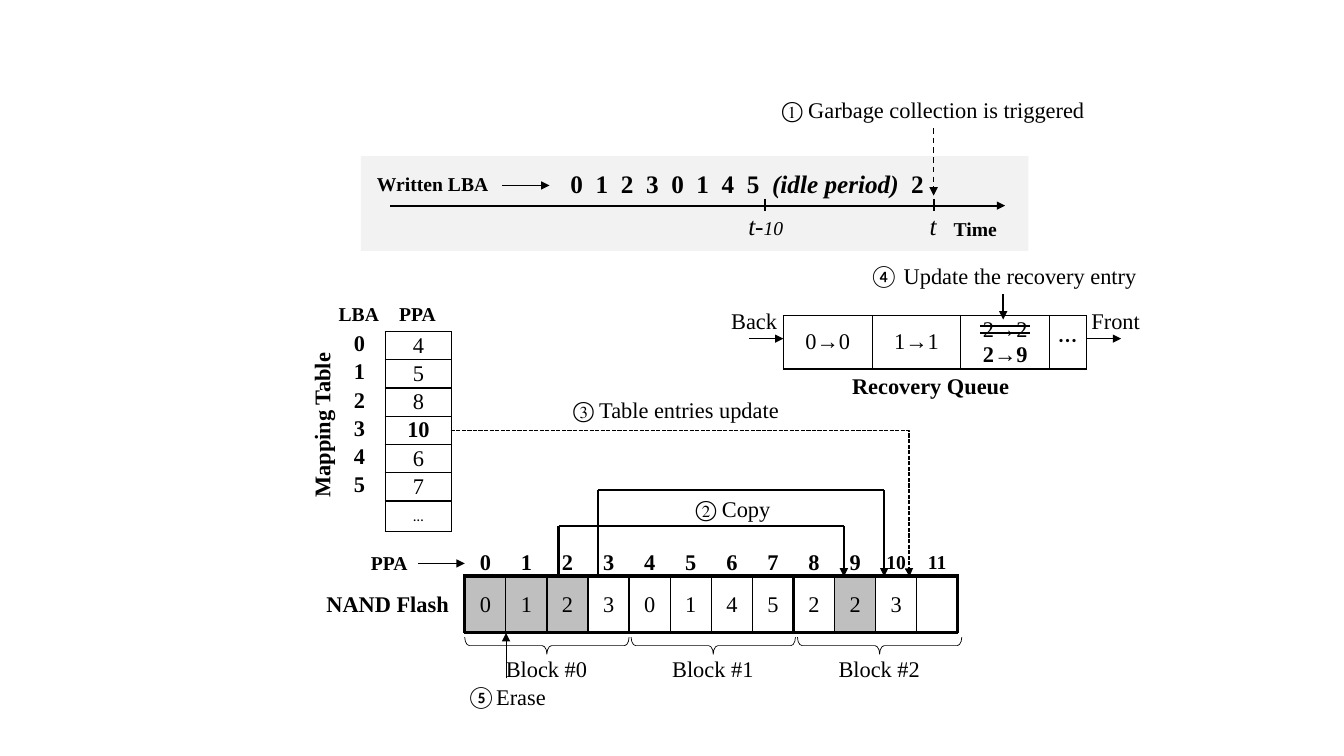
from dataclasses import dataclass

import lxml.etree
import pptx
import pptx.dml.color
import pptx.enum.dml
import pptx.enum.shapes
import pptx.enum.text
import pptx.oxml.ns
import pptx.util

Inches = pptx.util.Inches
qn = pptx.oxml.ns.qn
DASH = pptx.enum.dml.MSO_LINE
ALIGN = pptx.enum.text.PP_ALIGN
SHAPE = pptx.enum.shapes.MSO_SHAPE
CONNECTOR = pptx.enum.shapes.MSO_CONNECTOR


@dataclass(frozen=True)
class Theme:
    ink: str = "000000"
    panel: str = "F2F2F2"
    used: str = "BFBFBF"
    serif: str = "Times New Roman"
    sans: str = "Calibri"
    large: float = 18
    body: float = 16
    small: float = 14
    tiny: float = 10.5
    hair: float = 0.5
    thin: float = 1
    medium: float = 1.5
    heavy: float = 2.25
    plain_table: str = "{2D5ABB26-0587-4C30-8999-92F81FD0307C}"


THEME = Theme()


@dataclass(frozen=True)
class Span:
    text: str
    size: float = THEME.body
    bold: bool = False
    italic: bool = False
    font: str = THEME.serif


@dataclass(frozen=True)
class Label:
    box: tuple[float, float, float, float]
    spans: tuple[Span, ...]
    centred: bool = True
    turn: float = 0
    tabs: tuple[float, ...] = ()


@dataclass(frozen=True)
class Line:
    start: tuple[float, float]
    end: tuple[float, float]
    width: float = THEME.medium
    arrow: bool = False
    dash: DASH | None = None
    bend: float | None = None


@dataclass(frozen=True)
class Cell:
    paras: tuple[Span, ...] = ()
    fill: str | None = None
    sides: str = "LRTB"
    indent: float | None = None


def colour(code: str) -> pptx.dml.color.RGBColor:
    return pptx.dml.color.RGBColor.from_string(code)


def set_font(font, span: Span) -> None:
    font.name, font.size = span.font, pptx.util.Pt(span.size)
    font.bold, font.italic = span.bold, span.italic
    font.color.rgb = colour(THEME.ink)


def fill_para(para, spans: tuple[Span, ...], centred: bool) -> None:
    para.alignment = ALIGN.CENTER if centred else ALIGN.LEFT
    for span in spans:
        run = para.add_run()
        run.text = span.text
        if len(spans) > 1:
            set_font(run.font, span)
    if len(spans) == 1:
        set_font(para.font, spans[0])


def draw_label(page, label: Label) -> None:
    box = page.shapes.add_textbox(*map(Inches, label.box))
    box.rotation = label.turn
    frame = box.text_frame
    frame.word_wrap = bool(label.tabs)
    frame.auto_size = pptx.enum.text.MSO_AUTO_SIZE.SHAPE_TO_FIT_TEXT
    para = frame.paragraphs[0]
    fill_para(para, label.spans, label.centred)
    if label.tabs:
        stops = lxml.etree.Element(qn("a:tabLst"))
        for place in label.tabs:
            lxml.etree.SubElement(stops, qn("a:tab"), pos=str(int(Inches(place))), algn="l")
        para._p.get_or_add_pPr().insert(0, stops)


def draw_line(page, line: Line) -> None:
    kind = CONNECTOR.STRAIGHT if line.bend is None else CONNECTOR.ELBOW
    link = page.shapes.add_connector(kind, *map(Inches, line.start + line.end))
    link.line.color.rgb = colour(THEME.ink)
    link.line.width = pptx.util.Pt(line.width)
    if line.dash is not None:
        link.line.dash_style = line.dash
    properties = link._element.spPr
    if line.arrow:
        lxml.etree.SubElement(properties.find(qn("a:ln")), qn("a:tailEnd"), type="triangle")
    if line.bend is not None:
        guides = properties.find(qn("a:prstGeom")).find(qn("a:avLst"))
        value = f"val {round(line.bend * 100000)}"
        lxml.etree.SubElement(guides, qn("a:gd"), name="adj1", fmla=value)
    lxml.etree.SubElement(properties, qn("a:effectLst"))


def draw_cell(target, cell: Cell, border: float, tight: bool) -> None:
    target.vertical_anchor = pptx.enum.text.MSO_ANCHOR.MIDDLE
    if tight:
        target.margin_left = target.margin_right = target.margin_top = target.margin_bottom = 0
    if cell.indent is not None:
        target.margin_left = Inches(cell.indent)
        target.vertical_anchor = pptx.enum.text.MSO_ANCHOR.TOP
    frame = target.text_frame
    for index, span in enumerate(cell.paras):
        para = frame.add_paragraph() if index else frame.paragraphs[0]
        fill_para(para, (span,), cell.indent is None)
    if cell.fill:
        target.fill.solid()
        target.fill.fore_color.rgb = colour(cell.fill)
    else:
        target.fill.background()
    if border:
        for index, side in enumerate(cell.sides):
            edge = lxml.etree.Element(qn(f"a:ln{side}"), w=str(int(pptx.util.Pt(border))))
            paint = lxml.etree.SubElement(edge, qn("a:solidFill"))
            lxml.etree.SubElement(paint, qn("a:srgbClr"), val=THEME.ink)
            target._tc.get_or_add_tcPr().insert(index, edge)


def draw_table(page, left: float, top: float, widths: list[float], height: float,
               rows: list[list[Cell]], border: float = THEME.thin, tight: bool = False) -> None:
    size = map(Inches, (left, top, sum(widths), height * len(rows)))
    table = page.shapes.add_table(len(rows), len(widths), *size).table
    table.first_row = table.horz_banding = False
    table._tbl.tblPr.find(qn("a:tableStyleId")).text = THEME.plain_table
    for column, width in zip(table.columns, widths):
        column.width = Inches(width)
    for row_index, row in enumerate(rows):
        table.rows[row_index].height = Inches(height)
        for column_index, cell in enumerate(row):
            draw_cell(table.cell(row_index, column_index), cell, border, tight)


def draw_tables(page) -> None:
    # Flash pages: addresses, contents, and a heavy frame per block
    flash_left, flash_width = 4.61, 4.89
    pages = [flash_width / 12] * 12
    addresses = [Cell((Span(str(n), THEME.body if n < 10 else THEME.small, True),))
                 for n in range(12)]
    contents = [Cell((Span(text),) if text else (), THEME.used if n in (0, 1, 2, 9) else None)
                for n, text in enumerate([*"01230145223", ""])]
    draw_table(page, flash_left, 5.4, pages, 0.37, [addresses], border=0)
    draw_table(page, flash_left, 5.73, pages, 0.55, [contents])
    draw_table(page, flash_left, 5.71, [flash_width / 3] * 3, 0.56, [[Cell()] * 3], THEME.heavy)

    # Mapping table
    mapping = [[Cell((Span(str(lba), bold=True),), sides="R", indent=0.22),
                Cell((Span(ppa, bold=ppa == "10"),))]
               for lba, ppa in enumerate(["4", "5", "8", "10", "6", "7"])]
    mapping.append([Cell(sides="R"), Cell((Span("…", THEME.tiny, font=THEME.sans),))])
    draw_table(page, 3.29, 3.29, [0.53, 0.66], 0.28, mapping, tight=True)

    # Recovery queue
    queue = [Cell((Span("0→0"),)), Cell((Span("1→1"),)),
             Cell((Span("2→2"), Span("2→9", bold=True))), Cell()]
    draw_table(page, 7.77, 3.13, [0.88, 0.88, 0.88, 0.37], 0.53, [queue], tight=True)


def bold(text: str, size: float = THEME.small) -> tuple[Span, ...]:
    return (Span(text, size, True),)


WRITES = (Span("\t".join("01230145") + "\t", THEME.large, True),
          Span("(idle period)", THEME.large, True, True), Span("\t2", THEME.large, True))
LABELS = [
    Label((2.36, 4.02, 1.66, 0.37), bold("Mapping Table", THEME.body), False, 270),
    Label((3.14, 5.81, 1.43, 0.37), bold("NAND Flash", THEME.body), False),
    Label((3.26, 2.95, 0.61, 0.34), bold("LBA"), False),
    Label((3.58, 5.42, 0.57, 0.34), bold("PPA"), False),
    Label((3.86, 2.95, 0.57, 0.34), bold("PPA"), False),
    Label((9.36, 2.1, 0.63, 0.34), bold("Time"), False),
    Label((3.64, 1.66, 1.32, 0.34), bold("Written LBA"), False),
    Label((5.56, 1.62, 3.8, 0.4), WRITES, False, tabs=(*(n / 4 for n in range(1, 9)), 3.38)),
    Label((9.12, 2.04, 0.27, 0.4), (Span("t", THEME.large, italic=True),)),
    Label((7.32, 2.04, 0.55, 0.4), (Span("t-", THEME.large, italic=True),
                                    Span("10", THEME.small, italic=True))),
    Label((7.6, 0.9, 3.31, 0.37), (Span("① Garbage collection is triggered"),)),
    Label((6.75, 4.86, 1.04, 0.37), (Span("② Copy"),)),
    Label((5.54, 3.88, 2.33, 0.37), (Span("③ Table entries update"),)),
    Label((8.5, 2.55, 2.89, 0.37), (Span("④ ", font=THEME.sans),
                                    Span("Update the recovery entry"))),
    Label((4.52, 6.73, 1, 0.37), (Span("⑤", font=THEME.sans), Span("Erase"))),
    Label((10.72, 3, 0.69, 0.37), (Span("Front"),)),
    Label((7.15, 3, 0.66, 0.37), (Span("Back"),)),
    Label((10.39, 3.2, 0.4, 0.34), bold("···")),
    Label((8.34, 3.64, 1.78, 0.37), bold("Recovery Queue", THEME.body)),
]
LINES = [
    # Time axis, its ticks and the trigger
    Line((3.87, 2.04), (9.97, 2.04), arrow=True),
    *(Line((x, 1.97), (x, 2.09)) for x in (7.59, 9.26)),
    Line((9.26, 1.27), (9.26, 1.94), THEME.thin, True, DASH.DASH),
    # Short pointers
    *(Line(start, end, THEME.hair, True) for start, end in (
        ((4.98, 1.84), (5.45, 1.84)), ((4.15, 5.59), (4.61, 5.59)),
        ((7.43, 3.36), (7.77, 3.36)), ((10.78, 3.36), (11.12, 3.36)),
        ((5.02, 6.73), (5.02, 6.28)))),
    # Queue update and strike-through
    Line((9.95, 2.92), (9.95, 3.17), arrow=True),
    *(Line((9.72, y), (10.22, y)) for y in (3.23, 3.3)),
    # Table update
    Line((4.47, 4.27), (9.02, 5.72), THEME.thin, True, DASH.SQUARE_DOT, 0.999),
]
# Page copies: source, destination and height of the bridge
for source, target, top in ((5.54, 8.37, 5.22), (5.93, 8.77, 4.86)):
    LINES += [Line((source, 5.72), (source, top)), Line((source, top), (target, top)),
              Line((target, top), (target, 5.72), arrow=True)]


def main() -> None:
    deck = pptx.Presentation()
    deck.slide_width, deck.slide_height = Inches(13.33), Inches(7.5)
    page = deck.slides.add_slide(deck.slide_layouts[6])

    # Timeline panel
    panel = page.shapes.add_shape(SHAPE.RECTANGLE, *map(Inches, (3.58, 1.55, 6.62, 0.94)))
    panel.shadow.inherit = False
    panel.fill.solid()
    panel.fill.fore_color.rgb = colour(THEME.panel)
    panel.line.fill.background()

    draw_tables(page)
    for line in LINES:
        draw_line(page, line)
    for label in LABELS:
        draw_label(page, label)

    # Braces and names of the blocks
    for block in range(3):
        shift = 1.65 * block
        place = map(Inches, (5.34 + shift, 5.59, 0.17, 1.63))
        brace = page.shapes.add_shape(SHAPE.LEFT_BRACE, *place)
        brace.rotation = 270
        brace.adjustments[0] = 0.27
        brace.shadow.inherit = False
        brace.fill.background()
        brace.line.color.rgb = colour(THEME.ink)
        brace.line.width = pptx.util.Pt(THEME.hair)
        draw_label(page, Label((4.91 + shift, 6.45, 1.02, 0.37), (Span(f"Block #{block}"),)))

    deck.save("out.pptx")


if __name__ == "__main__":
    main()
